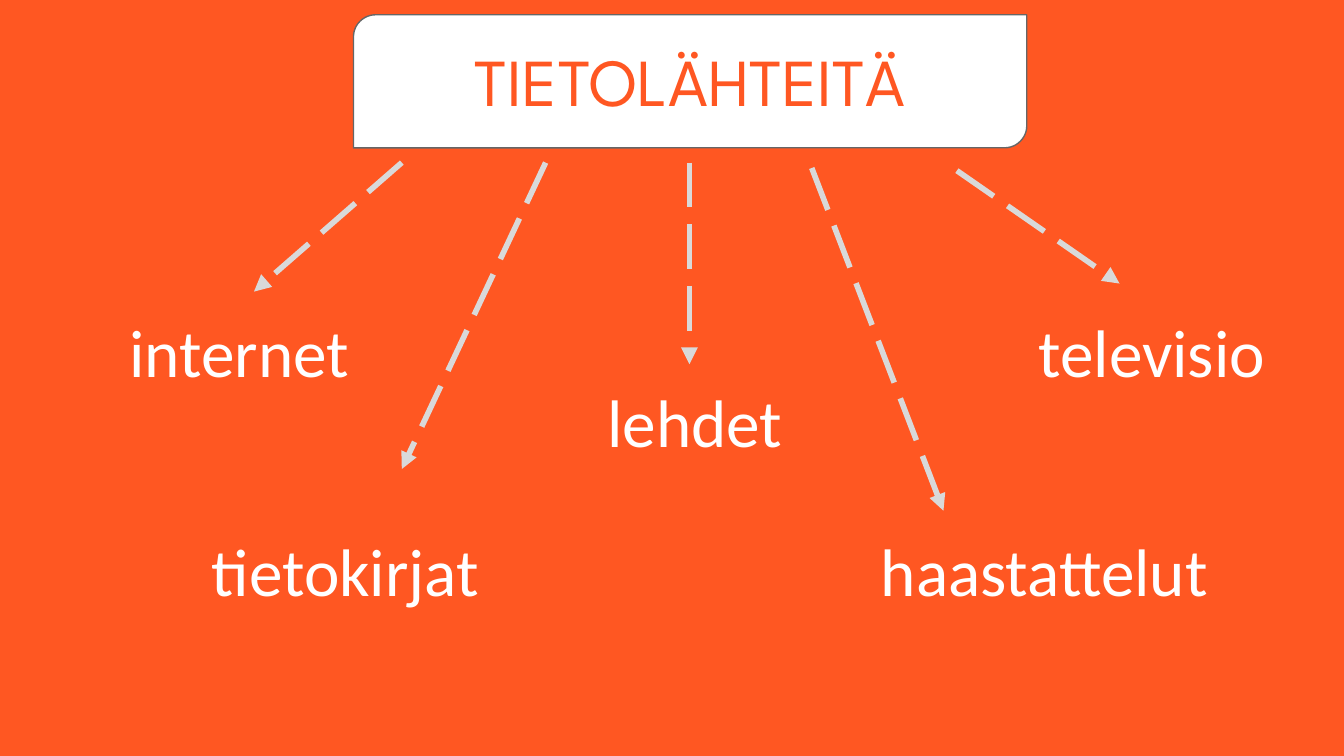
from lxml.etree import SubElement
from pptx import Presentation
from pptx.dml.color import RGBColor
from pptx.enum.dml import MSO_LINE
from pptx.enum.shapes import MSO_CONNECTOR, MSO_SHAPE
from pptx.enum.text import MSO_ANCHOR as Anchor, MSO_AUTO_SIZE, PP_ALIGN
from pptx.oxml.ns import qn
from pptx.util import Inches, Pt

PX = 9144  # EMU: 100 px to the inch
ORANGE, WHITE, GREY, ARROW_GREY = "FF5722", "FFFFFF", "666666", "D9D9D9"

# Each source: word, text box (left, top, width, height), arrow start and end
SOURCES = [
    ("internet", (49, 186, 258, 150), (299, 121), (189, 217)),
    ("tietokirjat", (108, 349, 298, 150), (406, 121), (299, 349)),
    ("lehdet", (388, 238, 258, 150), (513, 121), (513, 271)),
    ("haastattelut", (592, 349, 370, 150), (604, 125), (702, 380)),
    ("televisio", (728, 186, 258, 150), (712, 127), (833, 211)),
]


def color(hex_string):
    return RGBColor.from_string(hex_string)


def px(*lengths):
    return [length * PX for length in lengths]


class MindMap:
    """Holds the current slide and the style of its elements."""

    text_size = Pt(36)
    inset = 10 * PX

    def __init__(self, page):
        self.page = page
        page.background.fill.solid()
        page.background.fill.fore_color.rgb = color(ORANGE)

    def set_text(self, shape, text, font_name, text_color, anchor):
        frame = shape.text_frame
        frame.text = text
        frame.word_wrap = True
        frame.auto_size = MSO_AUTO_SIZE.NONE
        frame.vertical_anchor = anchor
        frame.margin_left = frame.margin_right = self.inset
        frame.margin_top = frame.margin_bottom = self.inset
        para = frame.paragraphs[0]
        para.alignment = PP_ALIGN.CENTER
        para.font.name = font_name
        para.font.size = self.text_size
        para.font.color.rgb = color(text_color)

    def panel(self, *bounds):
        box = self.page.shapes.add_shape(MSO_SHAPE.ROUND_2_DIAG_RECTANGLE, *px(*bounds))
        box.shadow.inherit = False
        box.fill.solid()
        box.fill.fore_color.rgb = color(WHITE)
        box.line.color.rgb = color(GREY)
        box.line.width = Pt(0.75)
        return box

    def title(self, text, bounds, behind):
        """Place the title just above the shape behind it."""
        title = self.page.shapes.title
        title.left, title.top, title.width, title.height = px(*bounds)
        self.set_text(title, text, "League Spartan", ORANGE, Anchor.TOP)
        behind.element.addnext(title.element)

    def label(self, text, bounds):
        box = self.page.shapes.add_textbox(*px(*bounds))
        self.set_text(box, text, "Calibri", WHITE, Anchor.MIDDLE)

    def arrow(self, start, end):
        arrow = self.page.shapes.add_connector(MSO_CONNECTOR.STRAIGHT, *px(*start, *end))
        arrow.line.color.rgb = color(ARROW_GREY)
        arrow.line.width = Pt(3)
        arrow.line.dash_style = MSO_LINE.LONG_DASH
        properties = arrow.element.spPr
        SubElement(properties.find(qn("a:ln")), qn("a:tailEnd"), type="triangle")
        SubElement(properties, qn("a:effectLst"))


def main():
    deck = Presentation()
    deck.slide_width, deck.slide_height = Inches(10), Inches(5.625)
    mind_map = MindMap(deck.slides.add_slide(deck.slide_layouts[5]))
    heading_panel = mind_map.panel(263, 11, 501, 99)
    mind_map.title("TIETOLÄHTEITÄ", (268, 19, 491, 83), heading_panel)
    for _, _, start, end in SOURCES:
        mind_map.arrow(start, end)
    for word, bounds, _, _ in SOURCES:
        mind_map.label(word, bounds)
    deck.save("out.pptx")


if __name__ == "__main__":
    main()
